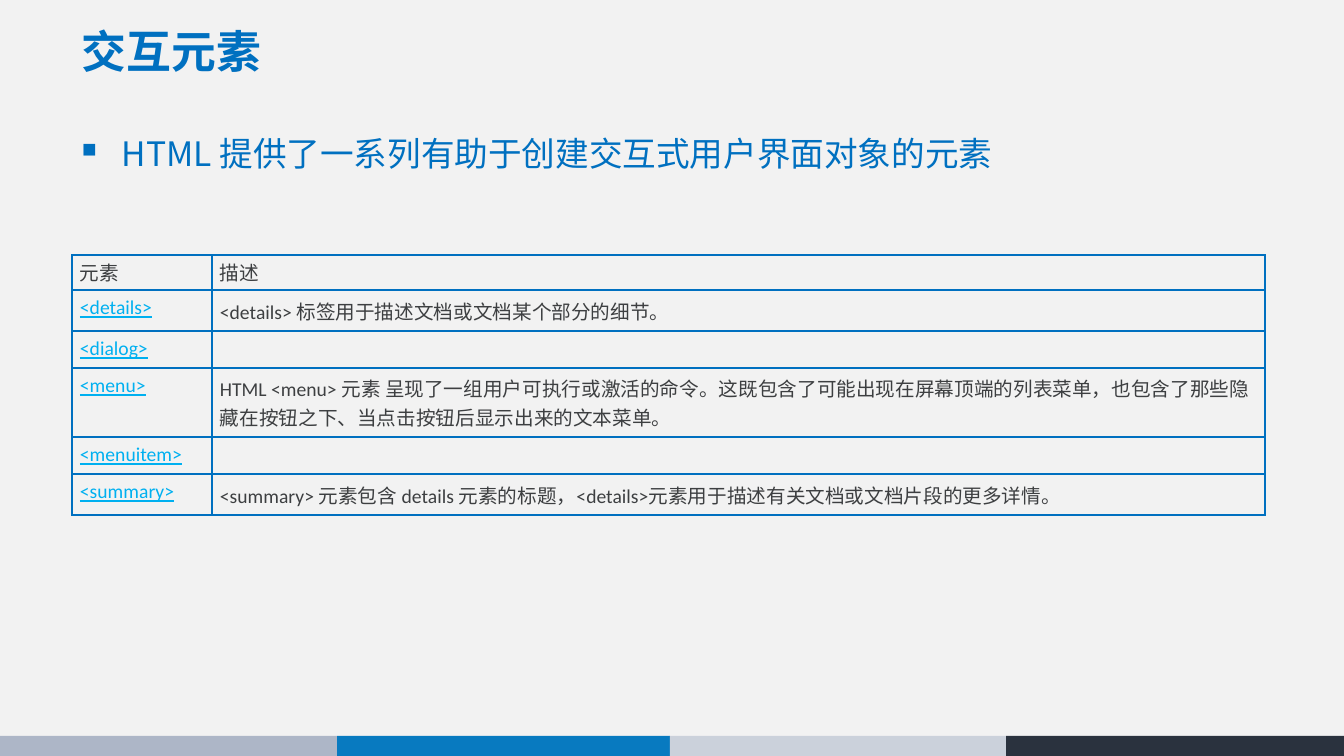
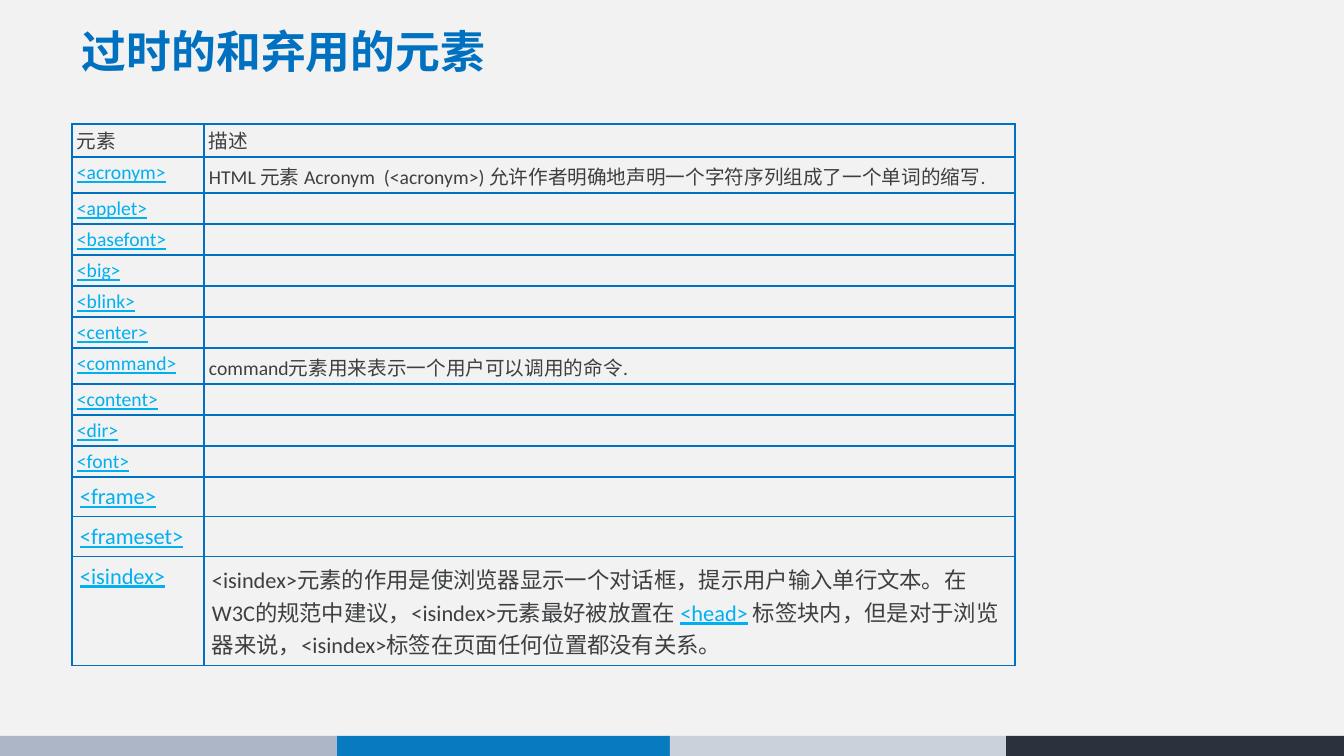
from dataclasses import dataclass

from lxml import etree
from pptx import Presentation
from pptx.dml.color import RGBColor
from pptx.enum.shapes import MSO_SHAPE
from pptx.enum.text import MSO_ANCHOR, PP_ALIGN
from pptx.oxml.ns import qn
from pptx.util import Emu, Pt

RECTANGLE = MSO_SHAPE.RECTANGLE
TOP, MIDDLE = MSO_ANCHOR.TOP, MSO_ANCHOR.MIDDLE
JUSTIFY = PP_ALIGN.JUSTIFY

EMU_PER_PX = 914400 / 100.8
SLIDE_WIDTH, SLIDE_HEIGHT = 1344, 756
LEFT, CONTENT_WIDTH = 72, 1193
BAND_TOP = 736
BANDS = [(0, "ADB6C7"), (337, "087AC0"), (670, "CBD1DB"), (1006, "2A323E")]

BACKGROUND = "F2F2F2"
BLUE = "0070C0"
LINK = "00B0F0"
INK = "3D3F41"
CJK_FONT = "Noto Sans CJK SC"
TABLE_FONT = "Calibri"

ROOMY = (8, 6, 8, 6)
ROOMY_HEADER = (8, 2, 8, 4)
TIGHT = (5, 4, 5, 3)
TIGHT_HEADER = (5, 1, 5, 2)


@dataclass
class Row:
    """One element row; description pieces alternate plain text and link."""

    element: str
    height: int
    description: tuple = ()
    insets: tuple = ROOMY
    size: int = 14
    header: bool = False


INTERACTIVE = [
    Row("元素", 35, ("描述",), ROOMY_HEADER, header=True),
    Row("<details>", 41, ("<details> 标签用于描述文档或文档某个部分的细节。",)),
    Row("<dialog>", 37),
    Row("<menu>", 69, (
        "HTML <menu> 元素 呈现了一组用户可执行或激活的命令。"
        "这既包含了可能出现在屏幕顶端的列表菜单，也包含了那些隐藏在按钮之下、"
        "当点击按钮后显示出来的文本菜单。",)),
    Row("<menuitem>", 37),
    Row("<summary>", 41, (
        "<summary> 元素包含 details 元素的标题，"
        "<details>元素用于描述有关文档或文档片段的更多详情。",)),
]

OBSOLETE = [
    Row("元素", 33, ("描述",), TIGHT_HEADER, header=True),
    Row("<acronym>", 36, (
        "HTML 元素 Acronym  (<acronym>) "
        "允许作者明确地声明一个字符序列组成了一个单词的缩写.",), TIGHT),
    *[Row(f"<{tag}>", 31, insets=TIGHT)
      for tag in ("applet", "basefont", "big", "blink", "center")],
    Row("<command>", 36, ("command元素用来表示一个用户可以调用的命令.",), TIGHT),
    *[Row(f"<{tag}>", 31, insets=TIGHT) for tag in ("content", "dir", "font")],
    Row("<frame>", 40, size=16),
    Row("<frameset>", 40, size=16),
    Row("<isindex>", 109, (
        "<isindex>元素的作用是使浏览器显示一个对话框，提示用户输入单行文本。"
        "在W3C的规范中建议，<isindex>元素最好被放置在 ",
        "<head>",
        " 标签块内，但是对于浏览器来说，<isindex>标签在页面任何位置都没有关系。"),
        size=16),
]


def px(length):
    """Turn pixels into EMU."""
    return Emu(round(length * EMU_PER_PX))


def color(value):
    """Turn a hex string into a colour."""
    return RGBColor.from_string(value)


def add_run(paragraph, text, size, fill, font=CJK_FONT, bold=False, underline=False):
    """Add one formatted run to a paragraph."""
    run = paragraph.add_run()
    run.text = text
    run.font.name = font
    run.font.size = Pt(size)
    run.font.bold = bold
    run.font.underline = underline
    run.font.color.rgb = color(fill)
    etree.SubElement(run.font._element, qn("a:ea"), typeface=CJK_FONT)


def add_paragraph_box(slide, top, height, anchor):
    """Add a wrapping text box and return its first paragraph."""
    box = slide.shapes.add_textbox(px(LEFT), px(top), px(CONTENT_WIDTH), px(height))
    frame = box.text_frame
    frame.word_wrap = True
    frame.vertical_anchor = anchor
    return frame.paragraphs[0]


def add_bands(slide):
    """Draw the coloured strip along the bottom edge."""
    ends = [left for left, _ in BANDS[1:]] + [SLIDE_WIDTH]
    for (left, fill), end in zip(BANDS, ends):
        band = slide.shapes.add_shape(
            RECTANGLE, px(left), px(BAND_TOP), px(end - left), px(SLIDE_HEIGHT - BAND_TOP))
        band.shadow.inherit = False
        band.fill.solid()
        band.fill.fore_color.rgb = color(fill)
        band.line.fill.background()


def add_titled_slide(presentation, title):
    """Add a slide with the shared bands and title."""
    slide = presentation.slides.add_slide(presentation.slide_layouts[6])
    add_bands(slide)
    heading = add_paragraph_box(slide, 18, 71, MIDDLE)
    heading.line_spacing = 0.9
    add_run(heading, title, 32, BLUE, bold=True)
    return slide


def add_bullet(slide, text):
    """Add the square-bulleted lead sentence."""
    lead = add_paragraph_box(slide, 124, 60, TOP)
    properties = lead._p.get_or_add_pPr()
    properties.set("marL", str(px(40)))
    properties.set("indent", str(px(-40)))
    bullet_color = etree.SubElement(properties, qn("a:buClr"))
    etree.SubElement(bullet_color, qn("a:srgbClr"), val=BLUE)
    etree.SubElement(properties, qn("a:buSzPct"), val="60000")
    etree.SubElement(properties, qn("a:buChar"), char="■")
    lead.alignment = JUSTIFY
    lead.line_spacing = 1.1
    add_run(lead, text, 24, BLUE)


def style_cell(cell, insets, anchor):
    """Give a cell its margins, blue borders and clear fill."""
    margins = [px(inset) for inset in insets]
    cell.margin_left, cell.margin_top, cell.margin_right, cell.margin_bottom = margins
    cell.vertical_anchor = anchor
    properties = cell._tc.get_or_add_tcPr()
    for side in ("lnL", "lnR", "lnT", "lnB"):
        border = etree.SubElement(properties, qn(f"a:{side}"), w=str(Pt(1)))
        fill = etree.SubElement(border, qn("a:solidFill"))
        etree.SubElement(fill, qn("a:srgbClr"), val=BLUE)
    cell.fill.background()


def fill_cell(cell, row, pieces):
    """Write (text, is link) pieces, or keep an empty cell at the row's size."""
    paragraph = cell.text_frame.paragraphs[0]
    for text, is_link in pieces:
        add_run(paragraph, text, row.size, LINK if is_link else INK,
                TABLE_FONT, underline=is_link)
    if not pieces:
        paragraph._p.get_or_add_endParaRPr().set("sz", str(row.size * 100))


def add_element_table(slide, top, column_widths, rows):
    """Add a table of elements and their descriptions."""
    table = slide.shapes.add_table(
        len(rows), len(column_widths), px(LEFT), px(top),
        px(sum(column_widths)), px(sum(row.height for row in rows))).table
    table.first_row = False
    table.horz_banding = False
    for column, width in zip(table.columns, column_widths):
        column.width = px(width)
    for index, row in enumerate(rows):
        table.rows[index].height = px(row.height)
        element, description = table.cell(index, 0), table.cell(index, 1)
        style_cell(element, row.insets, MIDDLE if row.header else TOP)
        style_cell(description, row.insets, MIDDLE)
        fill_cell(element, row, [(row.element, not row.header)])
        fill_cell(description, row, [
            (text, position % 2 == 1) for position, text in enumerate(row.description)])


def main():
    """Build and save both slides."""
    presentation = Presentation()
    presentation.slide_width = px(SLIDE_WIDTH)
    presentation.slide_height = px(SLIDE_HEIGHT)
    backdrop = presentation.slide_master.background.fill
    backdrop.solid()
    backdrop.fore_color.rgb = color(BACKGROUND)

    interactive = add_titled_slide(presentation, "交互元素")
    add_bullet(interactive, "HTML 提供了一系列有助于创建交互式用户界面对象的元素")
    add_element_table(interactive, 255, (140, 1053), INTERACTIVE)

    obsolete = add_titled_slide(presentation, "过时的和弃用的元素")
    add_element_table(obsolete, 124, (132, 811), OBSOLETE)

    presentation.save("out.pptx")


if __name__ == "__main__":
    main()
